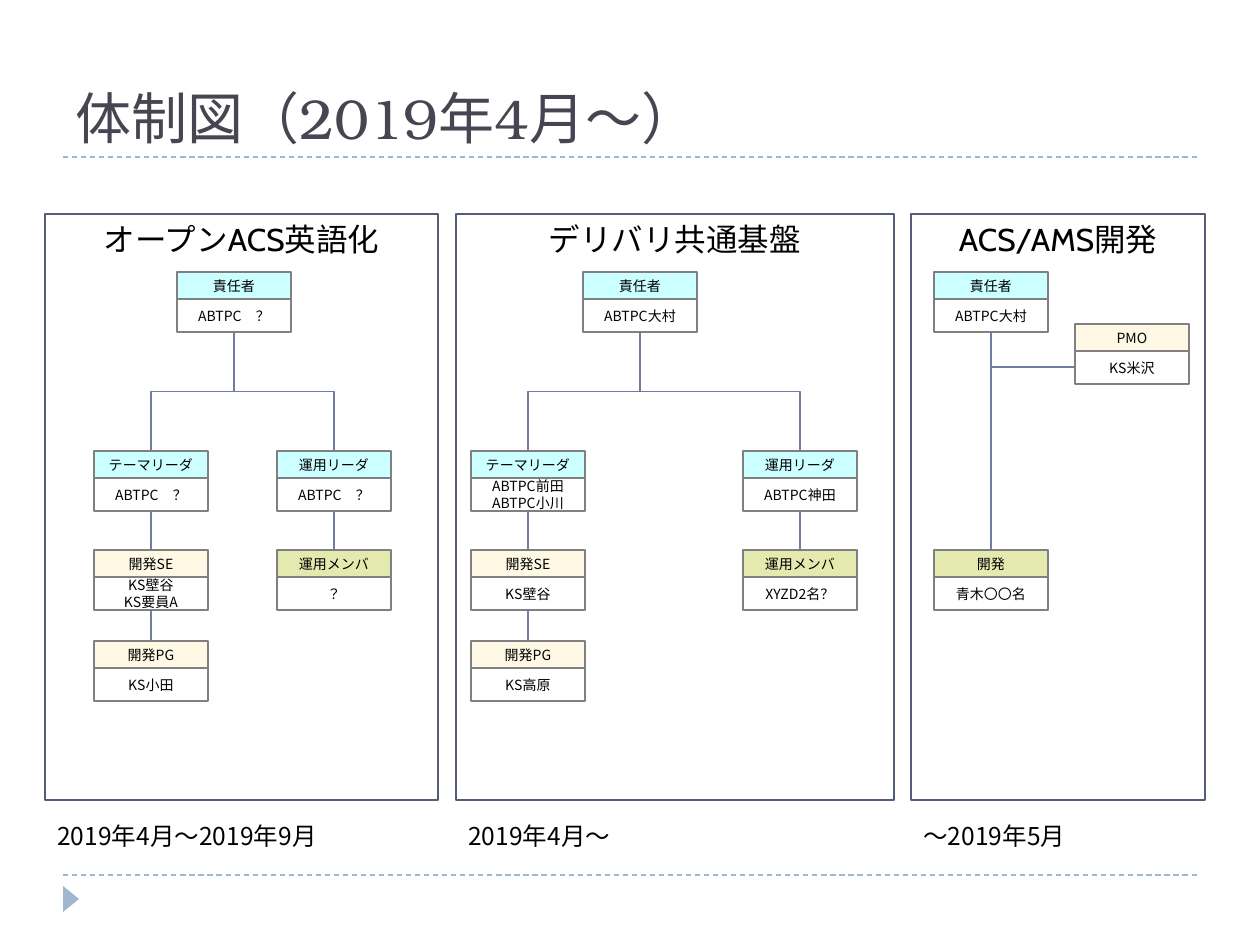
from dataclasses import dataclass

from lxml.etree import SubElement
from pptx import Presentation
from pptx.dml.color import RGBColor
from pptx.enum.dml import MSO_LINE
from pptx.enum.shapes import MSO_CONNECTOR as LINK, MSO_SHAPE as SHAPE
from pptx.enum.text import MSO_ANCHOR as ANCHOR, PP_ALIGN as ALIGN
from pptx.oxml.ns import qn
from pptx.util import Emu, Pt

SCALE = 914400 / 126
GOTHIC = "Noto Sans CJK JP"
CYAN, CREAM, GREEN, WHITE = "CCFFFF", "FEF8E4", "E4E9AF", "FFFFFF"
BLACK, GREY, SLATE = "000000", "808080", "545C79"
LINK_BLUE, PALE_BLUE, TITLE_INK = "727CA3", "9FB8CD", "464653"
CARD_W, ROLE_H, MEMBER_H = 114, 27, 33
HEAD_Y, LEADER_Y, STAFF_Y, PG_Y, PMO_Y = 272, 451, 550, 641, 324
PANEL_Y, PANEL_H = 214, 586


@dataclass(frozen=True)
class Panel:
    left: int
    width: int
    heading: str
    period: str


@dataclass(frozen=True)
class Card:
    left: int
    top: int
    role: str
    members: str
    tint: str

    @property
    def centre(self) -> int:
        return self.left + CARD_W // 2

    @property
    def bottom(self) -> int:
        return self.top + ROLE_H + MEMBER_H


def px(*lengths: float) -> list[Emu]:
    return [Emu(round(length * SCALE)) for length in lengths]


def colour(value: str) -> RGBColor:
    return RGBColor.from_string(value)


def write(shape, text: str, size: int, ink: str = BLACK, latin: str = GOTHIC,
          align=ALIGN.LEFT, anchor=ANCHOR.TOP, wrap: bool = True) -> None:
    frame = shape.text_frame
    frame.text = text
    frame.word_wrap = wrap
    frame.vertical_anchor = anchor
    for paragraph in frame.paragraphs:
        paragraph.alignment = align
        for run in paragraph.runs:
            run.font.size = Pt(size)
            run.font.name = latin
            run.font.color.rgb = colour(ink)
            SubElement(run.font._element, qn("a:ea")).set("typeface", GOTHIC)


def draw_box(shapes, left: int, top: int, width: int, height: int,
             edge: str, weight: float, tint: str | None = None):
    box = shapes.add_shape(SHAPE.RECTANGLE, *px(left, top, width, height))
    box.shadow.inherit = False
    box.line.color.rgb = colour(edge)
    box.line.width = Pt(weight)
    if tint:
        box.fill.solid()
        box.fill.fore_color.rgb = colour(tint)
    else:
        box.fill.background()
    return box


def draw_link(x1: float, y1: float, x2: float, y2: float,
              kind=LINK.STRAIGHT, ink: str = LINK_BLUE):
    link = slide.shapes.add_connector(kind, *px(x1, y1, x2, y2))
    link.line.color.rgb = colour(ink)
    link.line.width = Pt(0.75)
    SubElement(link._element.spPr, qn("a:effectLst"))
    return link


def draw_bend(x1: int, y1: int, x2: int, y2: int, preset: str = "bentConnector3") -> None:
    mid_x, mid_y = (x1 + x2) / 2, (y1 + y2) / 2
    half_w, half_h = (y2 - y1) / 2, abs(x2 - x1) / 2
    side = 1 if x2 < x1 else -1
    bend = draw_link(mid_x - side * half_w, mid_y - half_h,
                     mid_x + side * half_w, mid_y + half_h, LINK.ELBOW)
    properties = bend._element.spPr
    properties.find(qn("a:xfrm")).set("rot", str((90 if side == 1 else 270) * 60000))
    properties.find(qn("a:prstGeom")).set("prst", preset)


def draw_panel(panel: Panel) -> None:
    frame = draw_box(slide.shapes, panel.left, PANEL_Y, panel.width, PANEL_H, SLATE, 1.5)
    write(frame, panel.heading, 18, latin="Cabin", align=ALIGN.CENTER)
    period = slide.shapes.add_textbox(*px(panel.left, 815, panel.width, 43))
    write(period, panel.period, 14)


def draw_card(card: Card) -> None:
    group = slide.shapes.add_group_shape()
    parts = ((card.top, ROLE_H, card.role, card.tint),
             (card.top + ROLE_H, MEMBER_H, card.members, WHITE))
    for top, height, text, tint in parts:
        box = draw_box(group.shapes, card.left, top, CARD_W, height, GREY, 0.75, tint)
        frame = box.text_frame
        frame.margin_left = frame.margin_right = px(5)[0]
        frame.margin_top = frame.margin_bottom = px(5)[0]
        write(box, text, 8, align=ALIGN.CENTER, anchor=ANCHOR.MIDDLE, wrap=False)


def team(head_x: int, theme_x: int, operation_x: int, names: list[str]) -> list[Card]:
    places = (
        (head_x, HEAD_Y, "責任者", CYAN),
        (theme_x, LEADER_Y, "テーマリーダ", CYAN),
        (operation_x, LEADER_Y, "運用リーダ", CYAN),
        (theme_x, STAFF_Y, "開発SE", CREAM),
        (operation_x, STAFF_Y, "運用メンバ", GREEN),
        (theme_x, PG_Y, "開発PG", CREAM),
    )
    return [Card(left, top, role, name, tint)
            for (left, top, role, tint), name in zip(places, names)]


deck = Presentation()
deck.slide_width, deck.slide_height = px(1260, 945)
slide = deck.slides.add_slide(deck.slide_layouts[6])

for rule_y in (157, 875):
    draw_link(63, rule_y, 1197, rule_y, ink=PALE_BLUE).line.dash_style = MSO_LINE.DASH

marker = slide.shapes.add_shape(SHAPE.ISOSCELES_TRIANGLE, *px(58, 891, 26, 16))
marker.rotation = 90
marker.shadow.inherit = False
marker.fill.solid()
marker.fill.fore_color.rgb = colour(PALE_BLUE)
marker.line.fill.background()

title = slide.shapes.add_textbox(*px(63, 21, 1134, 136))
write(title, "体制図（2019年4月～）", 32, TITLE_INK, "TeX Gyre Bonum", anchor=ANCHOR.BOTTOM)

for panel in (
    Panel(45, 393, "オープンACS英語化", "2019年4月～2019年9月"),
    Panel(456, 438, "デリバリ共通基盤", "2019年4月～"),
    Panel(911, 294, "ACS/AMS開発", "～2019年5月"),
):
    draw_panel(panel)

teams = (
    team(177, 94, 277, ["ABTPC　？", "ABTPC　？", "ABTPC　？", "KS壁谷\nKS要員A", "？", "KS小田"]),
    team(583, 471, 743, ["ABTPC大村", "ABTPC前田\nABTPC小川", "ABTPC神田",
                         "KS壁谷", "XYZD2名？", "KS高原"]),
)
for cards in teams:
    for card in cards:
        draw_card(card)
    head, theme, operation, engineer, crew, programmer = cards
    for leader in (theme, operation):
        draw_bend(head.centre, head.bottom, leader.centre, leader.top)
    for upper, lower in ((theme, engineer), (engineer, programmer), (operation, crew)):
        draw_link(upper.centre, upper.bottom, lower.centre, lower.top)

manager = Card(934, HEAD_Y, "責任者", "ABTPC大村", CYAN)
office = Card(1075, PMO_Y, "PMO", "KS米沢", CREAM)
developers = Card(934, STAFF_Y, "開発", "青木〇〇名", GREEN)
for card in (manager, office, developers):
    draw_card(card)
draw_bend(manager.centre, manager.bottom, office.left, office.top + 43, "bentConnector2")
draw_link(manager.centre, manager.bottom, developers.centre, developers.top)

deck.save("out.pptx")
